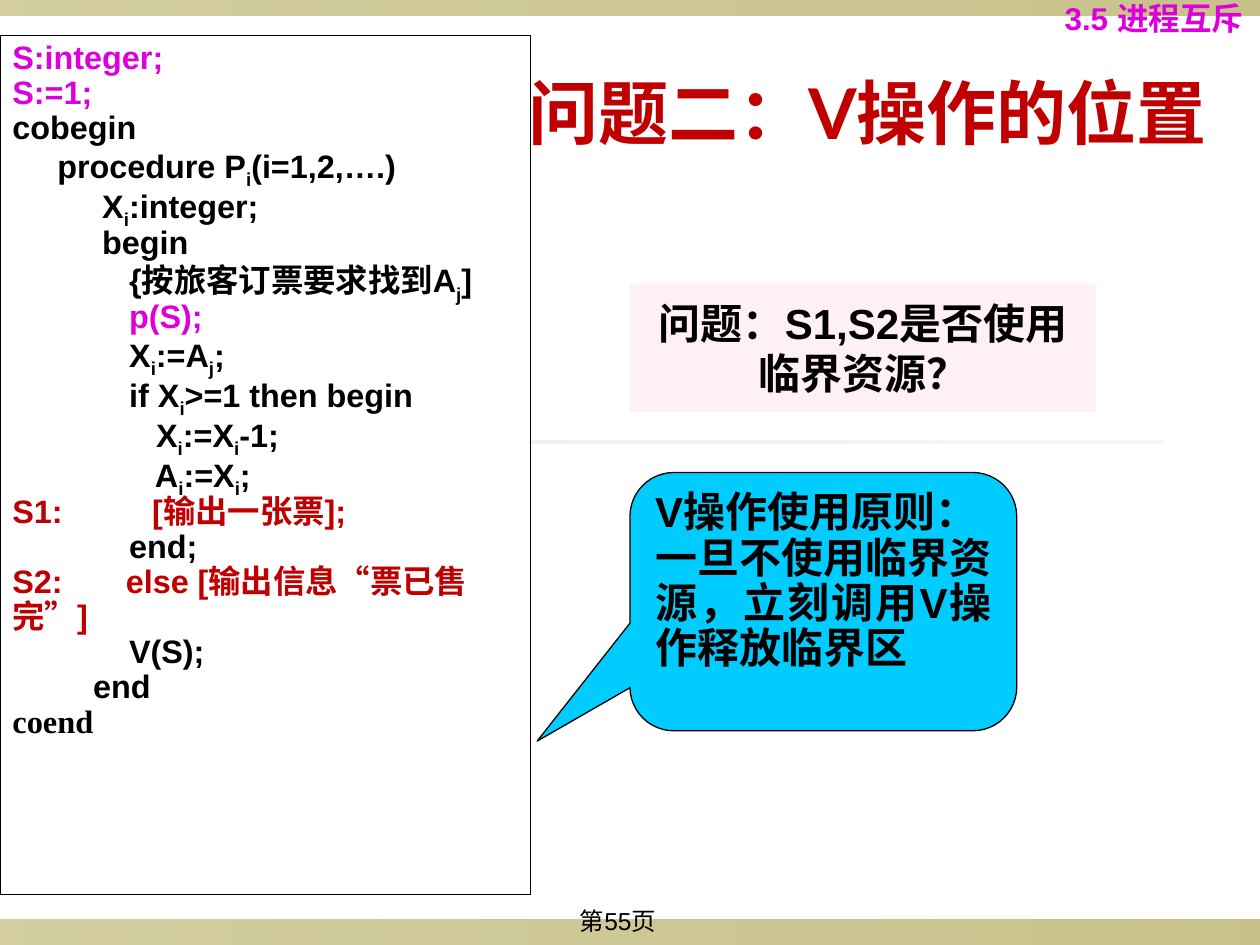
from lxml.etree import SubElement as Sub
from pptx import Presentation
from pptx.dml.color import RGBColor as RGB
from pptx.enum.shapes import MSO_SHAPE as Kind
from pptx.enum.text import MSO_ANCHOR as Anchor, PP_ALIGN as Align
from pptx.oxml.ns import qn
from pptx.util import Inches, Pt

COLS, ROWS = 100, 75
CELL = Inches(0.1)
BLACK = RGB(0, 0, 0)
WHITE = RGB(0xFF, 0xFF, 0xFF)
OLIVE = RGB(0x91, 0x84, 0x15)
SAND = RGB(0xDC, 0xD9, 0xCC)
PINK = RGB(0xDD, 0x00, 0xDD)
RED = RGB(0xC0, 0x00, 0x00)
ROSE = RGB(0xFF, 0xEF, 0xF7)
SKY = RGB(0x00, 0xCC, 0xFF)

CODE = [
    ("S:integer;", PINK),
    ("S:=1;", PINK),
    ("cobegin", BLACK),
    ("     procedure P_i(i=1,2,….)", BLACK),
    ("          X_i:integer;", BLACK),
    ("          begin", BLACK),
    ("             {按旅客订票要求找到A_j]", BLACK),
    ("             p(S);", PINK),
    ("             X_i:=A_j;", BLACK),
    ("             if X_i>=1 then begin", BLACK),
    ("                X_i:=X_i-1;", BLACK),
    ("                A_i:=X_i;", BLACK),
    ("S1:\t[输出一张票];", RED),
    ("             end;", BLACK),
    ("S2:\telse [输出信息“票已售完”]", RED),
    ("             V(S);", BLACK),
    ("         end", BLACK),
    ("coend", BLACK),
]
TABS = {"S1": 1.11, "S2": 0.9}


def place(box):
    """Turn a box in grid cells into slide lengths."""
    return [round(n * CELL) for n in box]


def style(font, size, color, bold=True, name="Arial"):
    """Set the look of a font."""
    font.size, font.bold, font.name = Pt(size), bold, name
    font.color.rgb = color


def shape(slide, kind, box, fill, line=None):
    """Add a flat filled shape."""
    item = slide.shapes.add_shape(kind, *place(box))
    item.shadow.inherit = False
    item.fill.solid()
    item.fill.fore_color.rgb = fill
    if line is None:
        item.line.fill.background()
    else:
        item.line.color.rgb, item.line.width = line, Pt(0.75)
    return item


def write(item, text, size, color, align, gap=None, wrap=True,
          anchor=Anchor.TOP, **look):
    """Fill a shape with evenly styled lines."""
    frame = item.text_frame
    frame.word_wrap, frame.vertical_anchor = wrap, anchor
    frame.text = text
    for para in frame.paragraphs:
        para.alignment, para.line_spacing = align, gap
        for run in para.runs:
            style(run.font, size, color, **look)


def label(slide, box, *args, **look):
    """Add a styled text box."""
    item = slide.shapes.add_textbox(*place(box))
    write(item, *args, **look)
    return item


def band(slide, box, color, *shares):
    """Draw a bar whose opacity runs between two percentages."""
    bar = shape(slide, Kind.RECTANGLE, box, color)
    bar.fill.gradient()
    bar.fill.gradient_angle = 0
    for stop in bar.fill.gradient_stops:
        stop.color.rgb = color
    tones = bar._element.spPr.find(qn("a:gradFill")).iter(qn("a:srgbClr"))
    for tone, share in zip(tones, shares):
        Sub(tone, qn("a:alpha"), val=str(share * 1000))


def frame(slide, box):
    """Draw the bars and the page number within the slide box."""
    x, y, w, h = box
    band(slide, (x, y + h - 2, w, 2), OLIVE, 40, 50)
    band(slide, (x, y, w, 1.2), OLIVE, 40, 50)
    band(slide, (x + 7.5, y + 35, w - 15, 0.2), SAND, 50, 20)
    label(slide, (x + 37.4, y + h - 3.6, 23.3, 3.6), "第55页", 14, BLACK,
          Align.CENTER, bold=False)


def code(slide, box):
    """Write the program in its outlined panel."""
    panel = shape(slide, Kind.RECTANGLE, box, WHITE, BLACK)
    body = panel.text_frame
    body.word_wrap, body.vertical_anchor = True, Anchor.TOP
    for row, (line, color) in enumerate(CODE):
        para = body.add_paragraph() if row else body.paragraphs[0]
        para.alignment, para.line_spacing = Align.LEFT, 0.9
        if line[:2] in TABS:
            stops = Sub(para._p.get_or_add_pPr(), qn("a:tabLst"))
            Sub(stops, qn("a:tab"), pos=str(Inches(TABS[line[:2]])), algn="l")
        name = "Times New Roman" if line == "coend" else "Arial"
        head, *rest = line.split("_")
        parts = [(head, False)]
        for part in rest:
            parts += [(part[0], True), (part[1:], False)]
        for text, low in parts:
            run = para.add_run()
            run.text = text
            style(run.font, 18.5, color, name=name)
            if low:
                run._r.get_or_add_rPr().set("baseline", "-25000")


def heading(slide, box):
    """Write the title and the section name above it."""
    x, y, w, h = box
    label(slide, (x, y + 2.1, w - 2.9, h - 2.1), "问题二：V操作的位置", 40,
          RED, Align.CENTER, anchor=Anchor.MIDDLE, name="Lato")
    topic = label(slide, (x + w - 16.5, y, 16.5, 3.4), "3.5 进程互斥", 18,
                  PINK, Align.LEFT, gap=0.8, wrap=False)
    topic.text_frame.margin_right = 0


def notes(slide, box):
    """Place the question above the callout with the rule."""
    x, y, w, h = box
    ask = shape(slide, Kind.RECTANGLE, (x, y, w, 10.2), ROSE)
    write(ask, "问题：S1,S2是否使用\n临界资源？", 24, BLACK, Align.CENTER,
          wrap=False, anchor=Anchor.MIDDLE)
    rule = shape(slide, Kind.ROUNDED_RECTANGULAR_CALLOUT,
                 (x, y + 15, 30.7, h - 15), SKY, BLACK)
    for spot, share in enumerate((-0.74, 0.54, 0.17)):
        rule.adjustments[spot] = share
    write(rule, "V操作使用原则：\n一旦不使用临界资源，立刻调用V操作释放临界区",
          24, BLACK, Align.JUSTIFY, gap=0.9)


def main():
    """Build the slide and save it."""
    deck = Presentation()
    deck.slide_width, deck.slide_height = COLS * CELL, ROWS * CELL
    slide = deck.slides.add_slide(deck.slide_layouts[6])
    frame(slide, (0, 0, COLS, ROWS))
    heading(slide, (40.6, 0, 59.4, 15.6))
    code(slide, (0, 2.8, 42.1, 68.2))
    notes(slide, (50, 22.5, 37, 35.5))
    deck.save("out.pptx")


if __name__ == "__main__":
    main()
